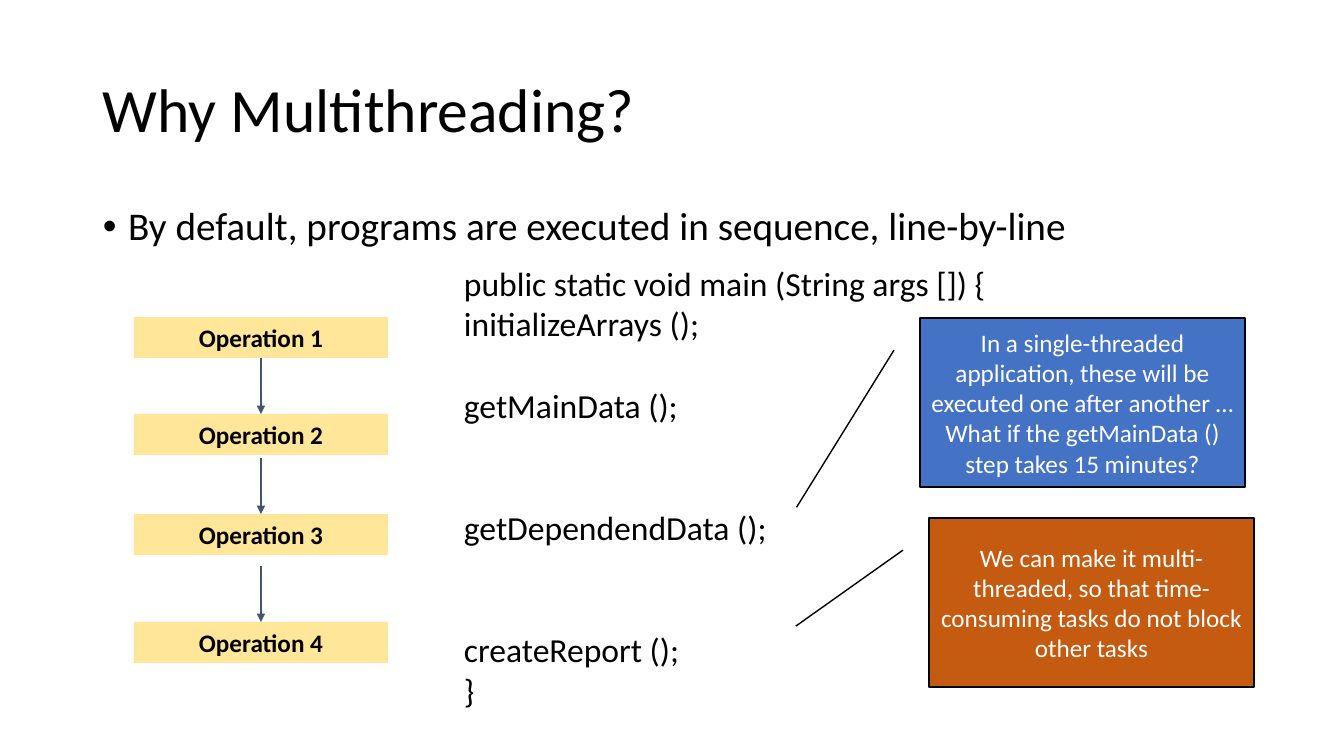
import pptx
import pptx.dml.color
import pptx.enum.shapes
import pptx.enum.text
import pptx.oxml.ns
import pptx.util
from lxml import etree

SHAPES = pptx.enum.shapes.MSO_SHAPE
ANCHOR = pptx.enum.text.MSO_ANCHOR
ALIGN = pptx.enum.text.PP_ALIGN
FIT = pptx.enum.text.MSO_AUTO_SIZE
EMU_PER_PX = 12192000 / 1344


def px(length):
    return pptx.util.Emu(round(length * EMU_PER_PX))


def color(value):
    return pptx.dml.color.RGBColor.from_string(value)


def add_xml(parent, tag, **attributes):
    return etree.SubElement(parent, pptx.oxml.ns.qn(tag), attributes)


def set_values(target, values):
    for name, value in values.items():
        setattr(target, name, value)


class SlideBuilder:
    font = "Calibri"
    black = "000000"
    white = "FFFFFF"
    operation_fill = "FFE699"
    arrow_color = "44546A"

    def __init__(self, slide):
        self.slide = slide

    def fill_text(self, shape, lines, size, ink, bold=False, frame=None, para_format=None):
        """Fill a shape with (text, space before in points) lines."""
        text_frame = shape.text_frame
        set_values(text_frame, {"word_wrap": True, **(frame or {})})
        for index, (text, gap) in enumerate(lines):
            para = text_frame.add_paragraph() if index else text_frame.paragraphs[0]
            set_values(para, {"space_before": pptx.util.Pt(gap), **(para_format or {})})
            span = para.add_run()
            span.text = text
            set_values(span.font, {"name": self.font, "size": pptx.util.Pt(size), "bold": bold})
            span.font.color.rgb = color(ink)

    def text(self, bounds, lines, size, **formats):
        box = self.slide.shapes.add_textbox(*map(px, bounds))
        self.fill_text(box, lines, size, self.black, **formats)
        return box

    def shape(self, kind, bounds, fill, outline=None):
        shape = self.slide.shapes.add_shape(kind, *map(px, bounds))
        shape.shadow.inherit = False
        shape.fill.solid()
        shape.fill.fore_color.rgb = color(fill)
        if outline:
            shape.line.color.rgb = color(outline)
            shape.line.width = pptx.util.Pt(1)
        else:
            shape.line.fill.background()
        return shape

    def bullet(self, bounds, text, size):
        box = self.text(bounds, [(text, 10)], size, para_format={"line_spacing": 0.9})
        properties = box.text_frame.paragraphs[0]._p.get_or_add_pPr()
        properties.set("marL", str(pptx.util.Inches(0.25)))
        properties.set("indent", str(-pptx.util.Inches(0.25)))
        add_xml(properties, "a:buFont", typeface="Arial")
        add_xml(properties, "a:buChar", char="•")

    def operation(self, bounds, text):
        box = self.shape(SHAPES.RECTANGLE, bounds, self.operation_fill)
        self.fill_text(box, [(text, 0)], 18, self.black, bold=True,
                       frame={"vertical_anchor": ANCHOR.TOP, "auto_size": FIT.SHAPE_TO_FIT_TEXT},
                       para_format={"alignment": ALIGN.CENTER})
        return box

    def arrow(self, x, top, bottom, target, source=None):
        line = self.slide.shapes.add_connector(
            pptx.enum.shapes.MSO_CONNECTOR.STRAIGHT, px(x), px(top), px(x), px(bottom))
        if source:
            line.begin_connect(source, 2)
        line.end_connect(target, 0)
        line.line.color.rgb = color(self.arrow_color)
        line.line.width = pptx.util.Pt(1)
        outline = line._element.spPr.find(pptx.oxml.ns.qn("a:ln"))
        add_xml(outline, "a:tailEnd", type="triangle")
        add_xml(line._element.spPr, "a:effectLst")

    def callout(self, bounds, text, fill, pointer):
        box = self.shape(SHAPES.LINE_CALLOUT_1, bounds, fill, self.black)
        for index, value in enumerate(pointer):
            box.adjustments[index] = value
        self.fill_text(box, [(text, 0)], 18, self.white,
                       frame={"vertical_anchor": ANCHOR.MIDDLE},
                       para_format={"alignment": ALIGN.CENTER})


def main():
    deck = pptx.Presentation()
    deck.slide_width, deck.slide_height = px(1344), px(756)
    page = SlideBuilder(deck.slides.add_slide(deck.slide_layouts[6]))

    page.text((93, 40, 1159, 146), [("Why Multithreading?", 0)], 44,
              frame={"vertical_anchor": ANCHOR.MIDDLE}, para_format={"line_spacing": 0.9})
    page.bullet((93, 202, 1159, 480),
                "By default, programs are executed in sequence, line-by-line", 28)

    left, width, height, arrow_length = 134, 254, 41, 56
    previous = None
    for number, top in enumerate((317, 414, 514, 622), start=1):
        box = page.operation((left, top, width, height), f"Operation {number}")
        if previous:
            # Only the first arrow starts on the box above it.
            page.arrow(left + width // 2, top - arrow_length, top, box,
                       source=previous if number == 2 else None)
        previous = box

    line_height = 29.3
    code = [
        ("public static void main (String args []) {", 0),
        ("initializeArrays ();", 0),
        ("getMainData ();", line_height),
        ("getDependendData ();", 2 * line_height),
        ("createReport ();", 2 * line_height),
        ("}", 0),
    ]
    page.text((454, 258, 575, 458), code, 24, frame={"auto_size": FIT.SHAPE_TO_FIT_TEXT})

    page.callout((920, 318, 325, 169),
                 "In a single-threaded application, these will be executed one after another … "
                 "What if the getMainData () step takes 15 minutes?",
                 "4472C4", (0.19, -0.08, 1.12, -0.38))
    page.callout((929, 518, 325, 169),
                 "We can make it multi-threaded, so that time-consuming tasks "
                 "do not block other tasks",
                 "C55A11", (0.19, -0.08, 0.64, -0.41))

    deck.save("out.pptx")


if __name__ == "__main__":
    main()
